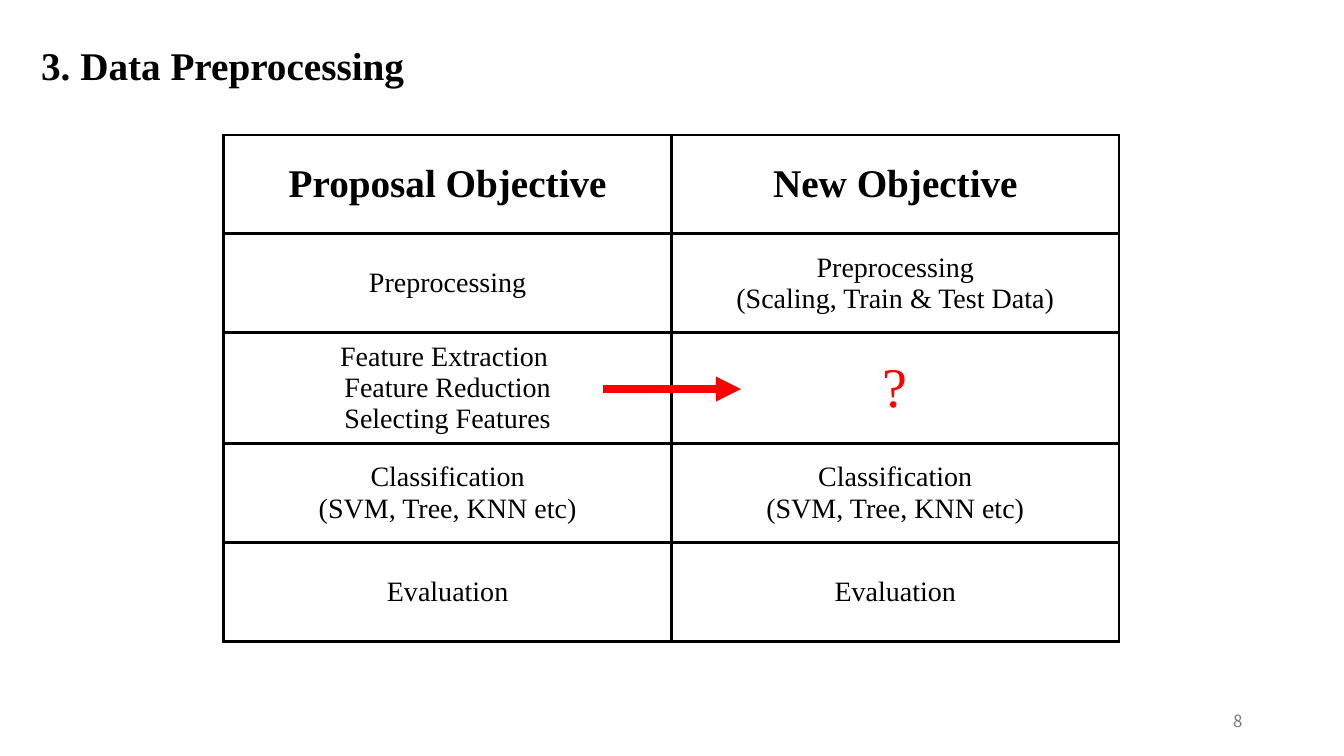
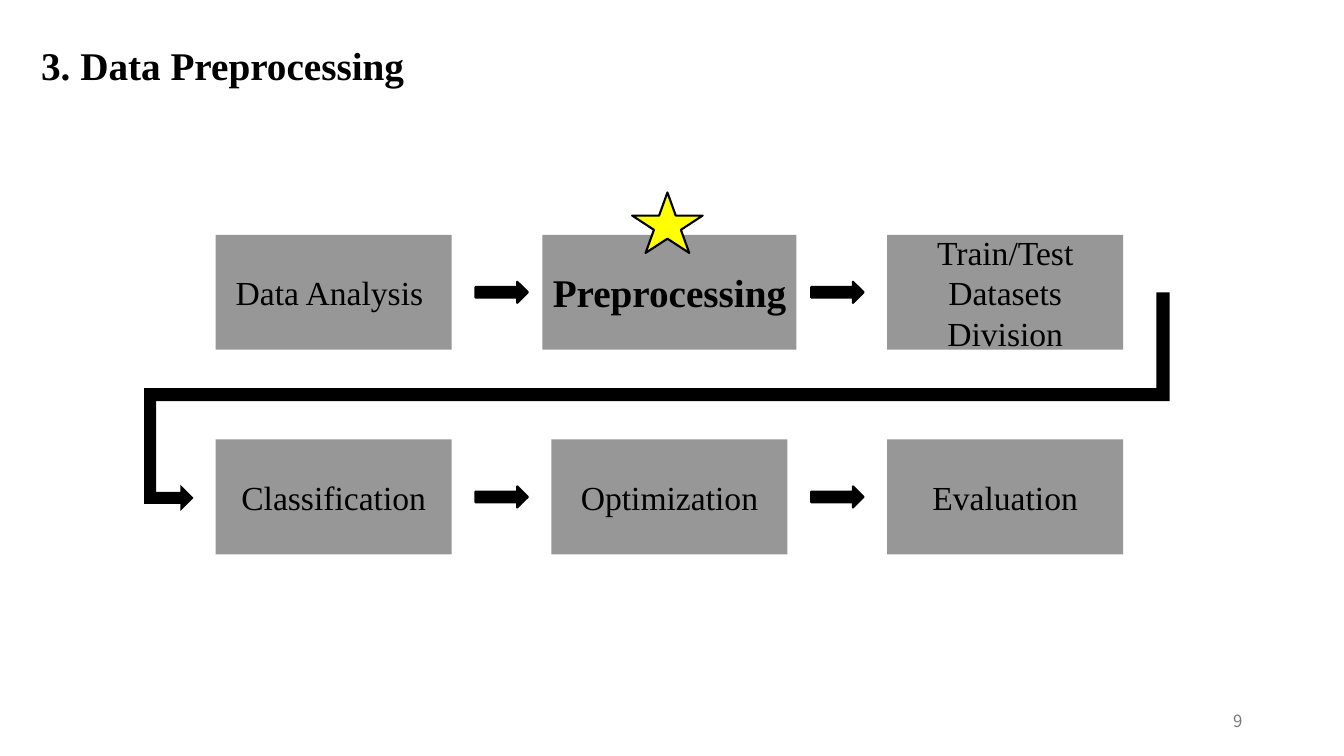
from lxml import etree
from pptx import Presentation
from pptx.dml.color import RGBColor
from pptx.enum.shapes import MSO_CONNECTOR, MSO_SHAPE
from pptx.enum.text import MSO_ANCHOR, PP_ALIGN
from pptx.oxml.ns import qn
from pptx.util import Inches, Pt

LEFT, CENTER, RIGHT = PP_ALIGN.LEFT, PP_ALIGN.CENTER, PP_ALIGN.RIGHT
TOP, MIDDLE = MSO_ANCHOR.TOP, MSO_ANCHOR.MIDDLE
RECTANGLE, ARROW, STAR = MSO_SHAPE.RECTANGLE, MSO_SHAPE.RIGHT_ARROW, MSO_SHAPE.STAR_5_POINT
STRAIGHT = MSO_CONNECTOR.STRAIGHT

COLORS = {"ink": "000000", "page_number": "797979", "step": "979797",
          "accent": "FF0000", "star": "FFFF00"}
SERIF, SANS = "Times New Roman", "Noto Sans CJK KR"

TITLE = "3. Data Preprocessing"
FIRST_PAGE = 8

HEADING = {"size": 28, "bold": True}
QUESTION = {"size": 40, "color": "accent"}
OBJECTIVES = [
    ("Proposal Objective", "New Objective"),
    ("Preprocessing", "Preprocessing\n(Scaling, Train & Test Data)"),
    ("Feature Extraction \nFeature Reduction\nSelecting Features", "?"),
    ("Classification\n(SVM, Tree, KNN etc)", "Classification\n(SVM, Tree, KNN etc)"),
    ("Evaluation", "Evaluation"),
]
TABLE_LEFT, TABLE_TOP, COLUMN_WIDTH, ROW_HEIGHT = 2.22, 1.34, 4.44, 0.98

STEPS = [
    ("Data Analysis ", "Preprocessing", "Train/Test Datasets Division"),
    ("Classification", "Optimization", "Evaluation"),
]
KEY_STEP = "Preprocessing"
STEP_LEFT, STEP_PITCH, STEP_WIDTH, STEP_HEIGHT = 2.14, 3.33, 2.34, 1.14
KEY_STEP_WIDTH = 2.52
STEP_TOPS = (2.33, 4.36)
ARROW_WIDTH, ARROW_HEIGHT = 0.52, 0.21
# Outline of the arrow that leads from the first row to the second
RETURN_PATH = [
    (11.47, 2.9), (11.6, 2.9), (11.6, 3.98), (1.55, 3.98), (1.55, 4.88),
    (1.79, 4.88), (1.79, 4.81), (1.92, 4.94), (1.79, 5.07), (1.79, 5),
    (1.43, 5), (1.43, 3.85), (11.47, 3.85),
]


def rgb(name):
    return RGBColor.from_string(COLORS[name])


def write(frame, text, size=20, font=SERIF, color="ink", bold=False, align=CENTER):
    """Fill a text frame, one paragraph for each line of text."""
    frame.word_wrap = True
    for index, line in enumerate(text.split("\n")):
        para = frame.add_paragraph() if index else frame.paragraphs[0]
        para.alignment = align
        span = para.add_run()
        span.text = line
        span.font.size = Pt(size)
        span.font.name = font
        span.font.bold = bold
        span.font.color.rgb = rgb(color)


def add_text(slide, text, left, top, width, height, anchor=TOP, **style):
    box = slide.shapes.add_textbox(Inches(left), Inches(top), Inches(width), Inches(height))
    box.text_frame.vertical_anchor = anchor
    write(box.text_frame, text, **style)


def paint(shape, fill, outlined=False):
    shape.shadow.inherit = False
    shape.fill.solid()
    shape.fill.fore_color.rgb = rgb(fill)
    if outlined:
        shape.line.color.rgb = rgb("ink")
        shape.line.width = Pt(1.5)
    else:
        shape.line.fill.background()


def add_centered(slide, kind, center, middle, width, height, fill, outlined=False):
    shape = slide.shapes.add_shape(kind, Inches(center - width / 2), Inches(middle - height / 2),
                                   Inches(width), Inches(height))
    paint(shape, fill, outlined)
    return shape


def add_page(deck, number):
    slide = deck.slides.add_slide(deck.slide_layouts[6])
    add_text(slide, TITLE, 0.31, 0.36, 5.32, 0.57, align=LEFT, **HEADING)
    add_text(slide, str(number), 9.42, 6.95, 3, 0.4, anchor=MIDDLE,
             size=12, font=SANS, color="page_number", align=RIGHT)
    return slide


def add_borders(cell):
    properties = cell._tc.get_or_add_tcPr()
    for side in ("a:lnL", "a:lnR", "a:lnT", "a:lnB"):
        line = etree.SubElement(properties, qn(side), w=str(Pt(2.25)))
        fill = etree.SubElement(line, qn("a:solidFill"))
        etree.SubElement(fill, qn("a:srgbClr"), val=COLORS["ink"])


def add_objectives(slide):
    rows, columns = len(OBJECTIVES), len(OBJECTIVES[0])
    table = slide.shapes.add_table(
        rows, columns, Inches(TABLE_LEFT), Inches(TABLE_TOP),
        Inches(columns * COLUMN_WIDTH), Inches(rows * ROW_HEIGHT)).table
    table.first_row = table.horz_banding = False
    for row, texts in enumerate(OBJECTIVES):
        for column, text in enumerate(texts):
            cell = table.cell(row, column)
            add_borders(cell)
            cell.fill.background()
            cell.vertical_anchor = MIDDLE
            style = HEADING if row == 0 else QUESTION if text == "?" else {}
            write(cell.text_frame, text, **style)


def add_change_arrow(slide):
    arrow = slide.shapes.add_connector(STRAIGHT, Inches(5.98), Inches(3.86),
                                       Inches(7.35), Inches(3.86))
    arrow.line.color.rgb = rgb("accent")
    arrow.line.width = Pt(6)
    etree.SubElement(arrow.line._get_or_add_ln(), qn("a:tailEnd"), type="triangle")
    etree.SubElement(arrow._element.spPr, qn("a:effectLst"))


def add_steps(slide):
    for top, names in zip(STEP_TOPS, STEPS):
        middle = top + STEP_HEIGHT / 2
        for column, name in enumerate(names):
            center = STEP_LEFT + column * STEP_PITCH + STEP_WIDTH / 2
            is_key = name == KEY_STEP
            box = add_centered(slide, RECTANGLE, center, middle,
                               KEY_STEP_WIDTH if is_key else STEP_WIDTH, STEP_HEIGHT, "step")
            frame = box.text_frame
            frame.vertical_anchor = MIDDLE
            frame.margin_left = frame.margin_right = Inches(0.05)
            write(frame, name, **(HEADING if is_key else {"size": 24}))
            if column:
                add_centered(slide, ARROW, center - STEP_PITCH / 2, middle,
                             ARROW_WIDTH, ARROW_HEIGHT, "ink", outlined=True)


def add_return_path(slide):
    points = [(Inches(x), Inches(y)) for x, y in RETURN_PATH]
    builder = slide.shapes.build_freeform(*points[0])
    builder.add_line_segments(points[1:], close=True)
    paint(builder.convert_to_shape(), "ink")


def main():
    deck = Presentation()
    deck.slide_width, deck.slide_height = Inches(13.33), Inches(7.5)

    objectives = add_page(deck, FIRST_PAGE)
    add_objectives(objectives)
    add_change_arrow(objectives)

    workflow = add_page(deck, FIRST_PAGE + 1)
    add_steps(workflow)
    add_return_path(workflow)
    add_centered(workflow, STAR, 6.62, 2.21, 0.7, 0.6, "star", outlined=True)

    deck.save("out.pptx")


if __name__ == "__main__":
    main()
